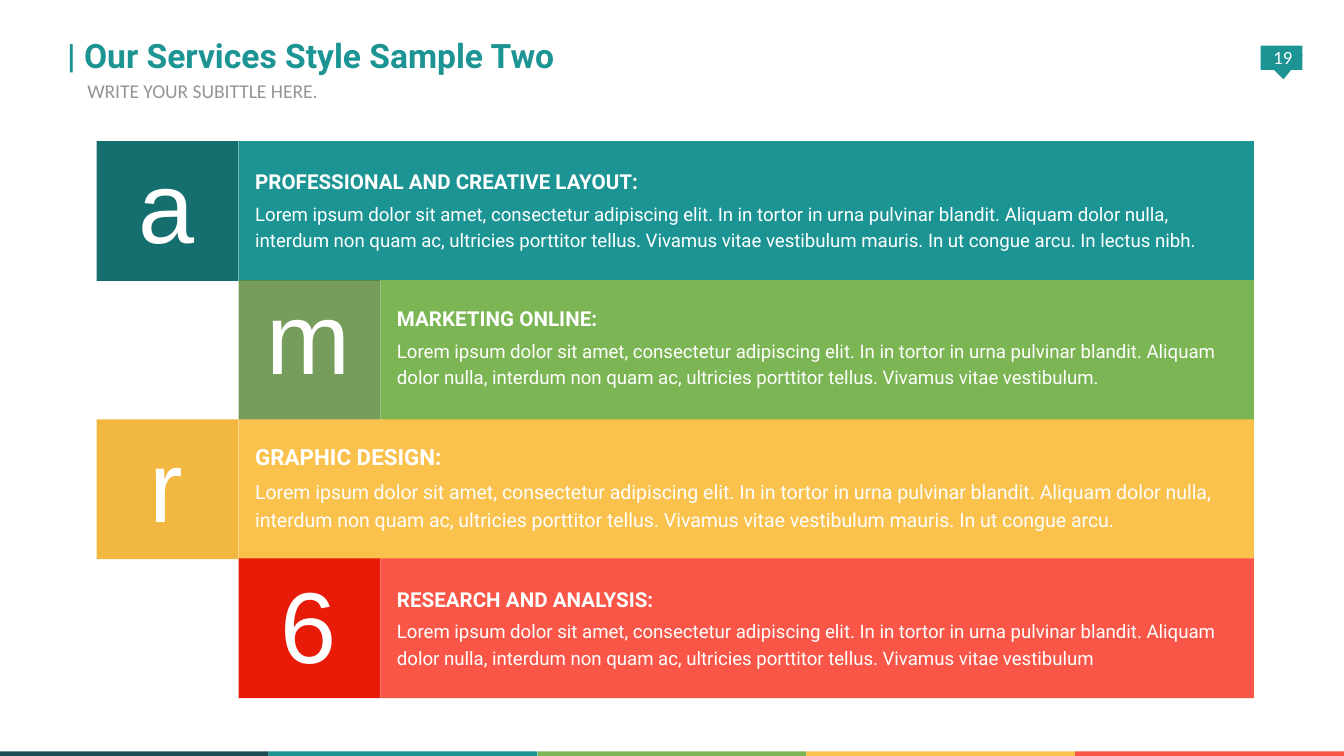
import lxml.etree
import pptx
import pptx.dml.color
import pptx.enum.shapes
import pptx.enum.text
import pptx.oxml.ns
import pptx.util

Inches = pptx.util.Inches
Pt = pptx.util.Pt
SHAPES = pptx.enum.shapes.MSO_SHAPE
ALIGN = pptx.enum.text.PP_ALIGN
ANCHOR = pptx.enum.text.MSO_ANCHOR

TEAL, GREEN, YELLOW, RED = "1C9494", "7CB554", "FAC14D", "F95647"
WHITE = "FFFFFF"
STRIPE_COLORS = ["1D4A53", TEAL, GREEN, YELLOW, RED]

ROW_LEFT, ROW_TOP, ROW_STEP, ROW_HEIGHT = 0.72, 1.05, 1.035, 1.04
MARKER_WIDTH, ROW_RIGHT = 1.055, 9.33

LOREM = ("Lorem ipsum dolor sit amet, consectetur adipiscing elit. In in tortor "
         "in urna pulvinar blandit. Aliquam dolor nulla, interdum non quam ac, "
         "ultricies porttitor tellus. Vivamus vitae vestibulum")

# letter, letter top, marker colour, marker opacity, bar colour,
# text top, heading, heading size, body, body size
SERVICES = [
    ("a", 1.01, "156F6F", 100, TEAL, 1.17, "PROFESSIONAL AND CREATIVE LAYOUT:", 11,
     LOREM + " mauris. In ut congue arcu. In lectus nibh.", 10),
    ("m", 1.99, "5C8B3C", 84, GREEN, 2.19, "MARKETING ONLINE:", 11, LOREM + ".", 10),
    ("r", 3.09, "EFA207", 77, YELLOW, 3.21, "GRAPHIC DESIGN:", 12,
     LOREM + " mauris. In ut congue arcu.", 10.5),
    ("6", 4.14, "E81B08", 100, RED, 4.28, "RESEARCH AND ANALYSIS:", 11, LOREM, 10),
]


def rgb(hex_color):
    return pptx.dml.color.RGBColor.from_string(hex_color)


class ServicesSlide:
    """Holds the fonts and the slide being built."""

    heading_font = "Roboto"
    caption_font = "Calibri"
    letter_font = "Arial"

    def __init__(self, slide):
        self.slide = slide

    def block(self, left, top, width, height, color, opacity=100,
              kind=SHAPES.RECTANGLE, rotation=0):
        shape = self.slide.shapes.add_shape(
            kind, Inches(left), Inches(top), Inches(width), Inches(height))
        shape.shadow.inherit = False
        shape.rotation = rotation
        shape.line.fill.background()
        shape.fill.solid()
        shape.fill.fore_color.rgb = rgb(color)
        if opacity < 100:
            color_node = next(shape.fill._xPr.iter(pptx.oxml.ns.qn("a:srgbClr")))
            lxml.etree.SubElement(color_node, pptx.oxml.ns.qn("a:alpha"),
                                  val=str(opacity * 1000))

    def text(self, left, top, width, height, lines, font, color=WHITE,
             align=ALIGN.LEFT, anchor=ANCHOR.TOP, insets=(0.1, 0.05, 0.1, 0.05),
             line_spacing=None):
        """Add a text box; lines is a list of (wording, size, bold)."""
        box = self.slide.shapes.add_textbox(
            Inches(left), Inches(top), Inches(width), Inches(height))
        frame = box.text_frame
        frame.word_wrap = True
        frame.vertical_anchor = anchor
        (frame.margin_left, frame.margin_top,
         frame.margin_right, frame.margin_bottom) = map(Inches, insets)
        frame.text = "\n".join(wording for wording, _, _ in lines)
        for index, (paragraph, (_, size, bold)) in enumerate(zip(frame.paragraphs, lines)):
            paragraph.alignment = align
            if line_spacing:
                paragraph.line_spacing = line_spacing
            if index:
                paragraph.space_before = Pt(size * 0.24)
            for run in paragraph.runs:
                run.font.name = font
                run.font.size = Pt(size)
                run.font.bold = bold
                run.font.color.rgb = rgb(color)

    def footer_stripe(self):
        for index, color in enumerate(STRIPE_COLORS):
            self.block(2 * index, 5.59, 2, 0.08, color)

    def page_badge(self, number):
        self.block(9.38, 0.34, 0.31, 0.18, TEAL)
        self.block(9.39, 0.42, 0.31, 0.17, TEAL,
                   kind=SHAPES.ISOSCELES_TRIANGLE, rotation=176.8)
        self.text(9.4, 0.3, 0.29, 0.3, [(number, 10, False)], self.caption_font,
                  align=ALIGN.CENTER, anchor=ANCHOR.MIDDLE, insets=(0, 0, 0, 0.05))

    def header(self, title, subtitle):
        insets = (0, 0, 0.1, 0)
        self.text(0.5, 0.26, 7.51, 0.4, [(title, 18, True)], self.heading_font,
                  TEAL, insets=insets)
        self.text(0.65, 0.59, 7.34, 0.29, [(subtitle, 10.5, False)],
                  self.caption_font, "959596", insets=insets)

    def service(self, index, letter, letter_top, marker_color, opacity, bar_color,
                text_top, heading, heading_size, body, body_size):
        """Add one row; every second row is indented by a marker's width."""
        marker_left = ROW_LEFT + MARKER_WIDTH * (index % 2)
        bar_left = marker_left + MARKER_WIDTH
        top = ROW_TOP + ROW_STEP * index
        self.block(marker_left, top, MARKER_WIDTH, ROW_HEIGHT, marker_color, opacity)
        self.block(bar_left, top, ROW_RIGHT - bar_left, ROW_HEIGHT, bar_color)
        text_left = bar_left + 0.025
        self.text(text_left, text_top, 9.19 - text_left, 0.8,
                  [(heading, heading_size, True), (body, body_size, False)],
                  self.heading_font, line_spacing=1.2)
        self.text(marker_left + 0.09, letter_top, 0.86, 1.01,
                  [(letter, 54, False)], self.letter_font, align=ALIGN.CENTER)


def main():
    deck = pptx.Presentation()
    deck.slide_width, deck.slide_height = Inches(10), Inches(5.625)
    page = ServicesSlide(deck.slides.add_slide(deck.slide_layouts[6]))
    page.footer_stripe()
    page.page_badge("19")
    for index, service in enumerate(SERVICES):
        page.service(index, *service)
    page.header("| Our Services Style Sample Two", "WRITE YOUR SUBITTLE HERE.")
    deck.save("out.pptx")


if __name__ == "__main__":
    main()
